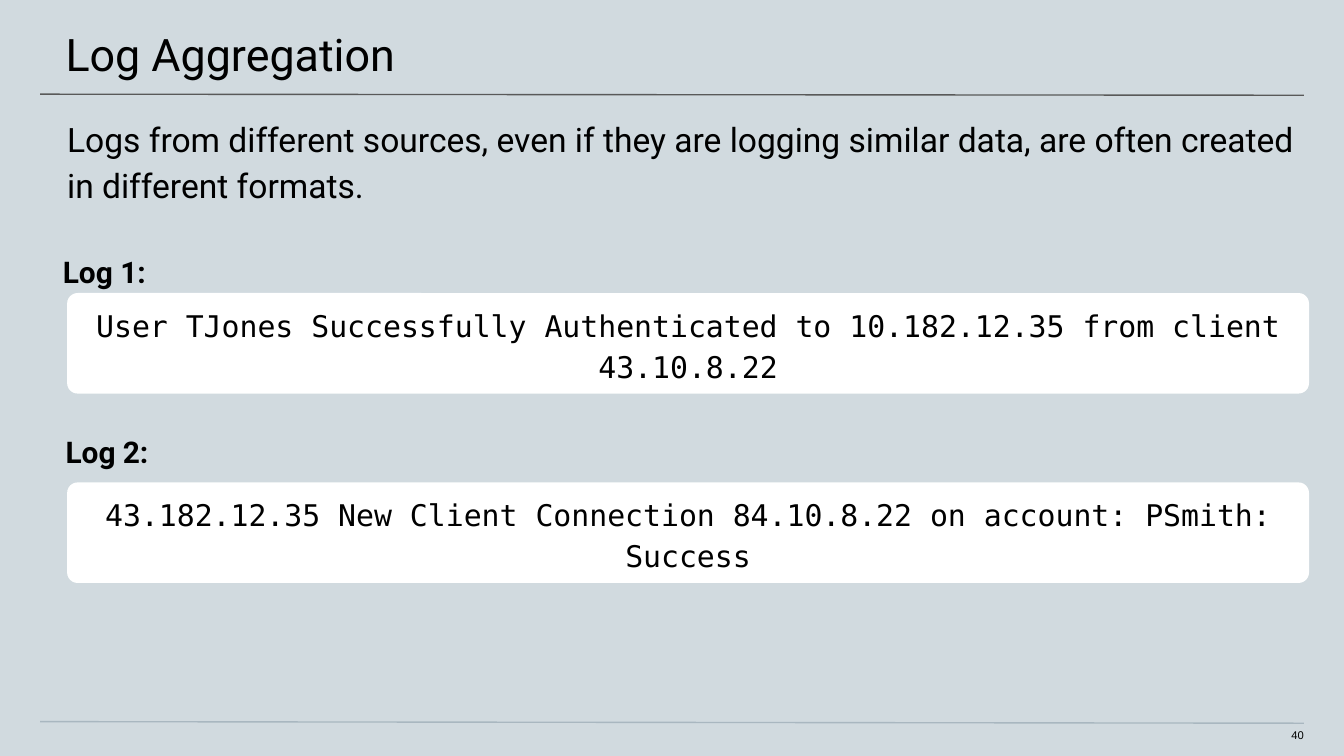
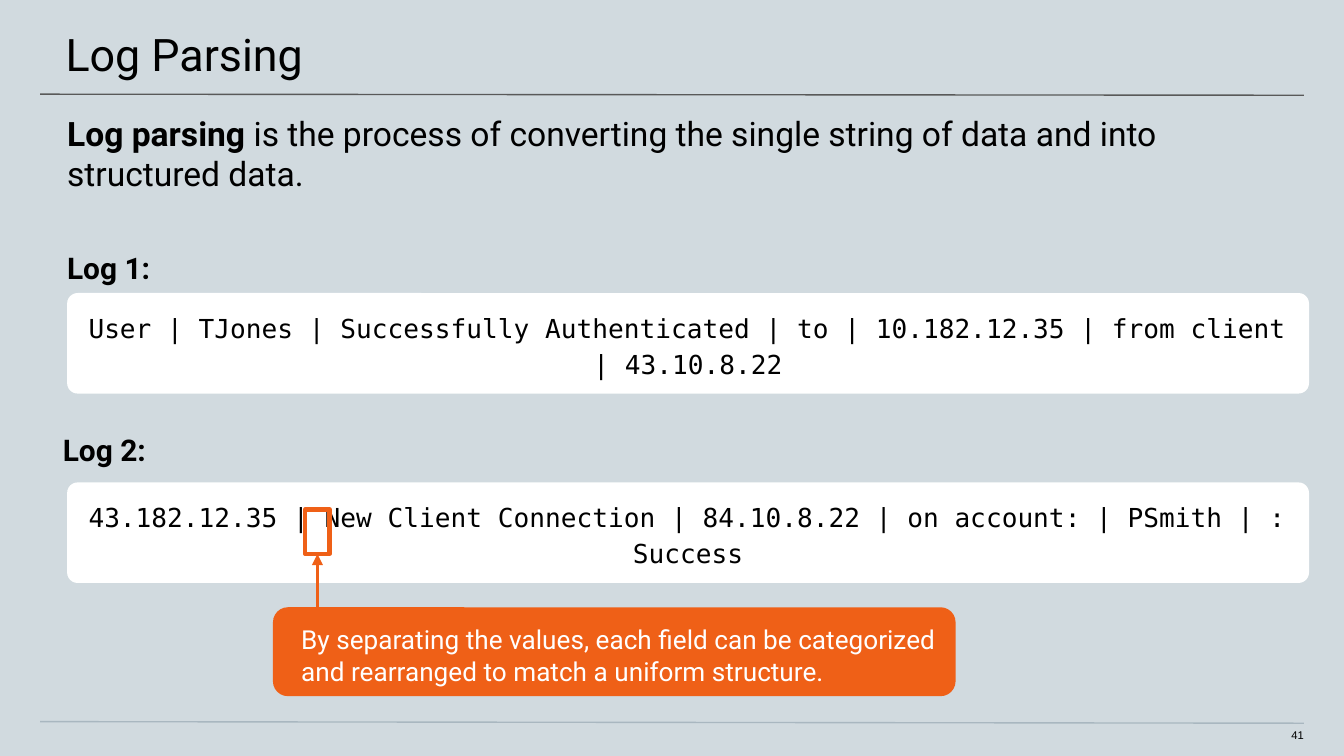
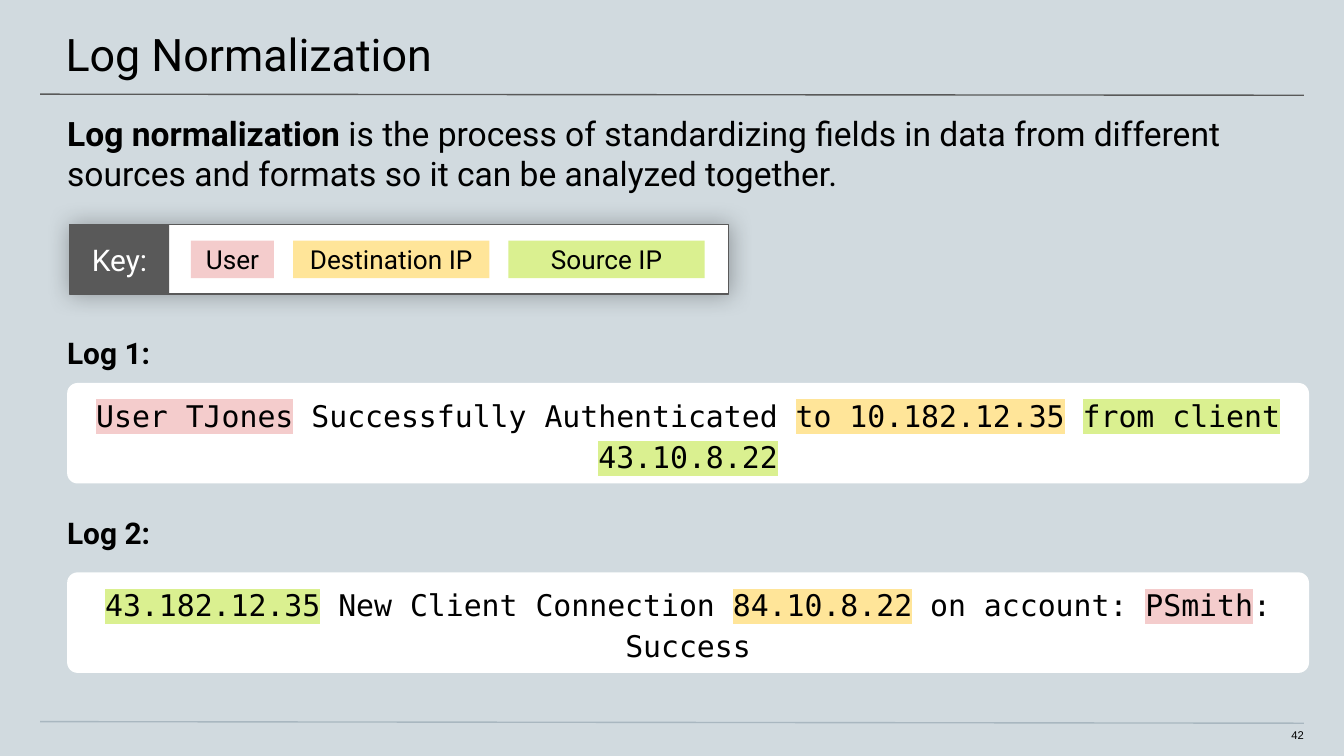
from dataclasses import dataclass, field

from lxml.etree import SubElement
from pptx import Presentation
from pptx.dml.color import RGBColor
from pptx.enum.shapes import MSO_CONNECTOR, MSO_SHAPE
from pptx.enum.text import MSO_ANCHOR, MSO_AUTO_SIZE, PP_ALIGN
from pptx.oxml.ns import qn
from pptx.shapes.autoshape import Shape
from pptx.shapes.connector import Connector
from pptx.slide import Slide
from pptx.text.text import TextFrame
from pptx.util import Cm, Pt


@dataclass(frozen=True)
class Theme:
    background: str = "D1DADF"
    ink: str = "000000"
    paper: str = "FFFFFF"
    dark: str = "595959"
    footer_rule: str = "A9B7C0"
    accent: str = "EF6017"
    user: str = "F4CCCC"
    destination: str = "FFE599"
    source: str = "DAF090"
    body_font: str = "Roboto"
    code_font: str = "DejaVu Sans Mono"
    number_font: str = "Arial"
    title_size: int = 24
    intro_size: int = 18
    text_size: int = 16
    small_size: int = 14
    number_size: int = 6


THEME = Theme()


@dataclass(frozen=True)
class Area:
    """Left, top, width and height in centimetres."""
    left: float
    top: float
    width: float
    height: float

    def lengths(self) -> tuple[Cm, Cm, Cm, Cm]:
        return Cm(self.left), Cm(self.top), Cm(self.width), Cm(self.height)


@dataclass(frozen=True)
class TextStyle:
    """Insets are left, top, right and bottom in centimetres."""
    size: int
    font: str = THEME.body_font
    color: str = THEME.ink
    bold: bool = False
    align: PP_ALIGN = PP_ALIGN.LEFT
    anchor: MSO_ANCHOR = MSO_ANCHOR.TOP
    insets: tuple[float, float, float, float] = (0, 0, 0, 0)
    line_spacing: float | None = None
    space_after: int = 0


@dataclass(frozen=True)
class Span:
    text: str
    bold: bool = False
    highlight: str | None = None


@dataclass(frozen=True)
class Log:
    label: str
    label_left: float
    label_top: float
    spans: list[Span]


@dataclass(frozen=True)
class LogPage:
    number: int
    title: str
    intro: list[Span]
    first_log_top: float
    logs: list[Log]
    log_size: int = THEME.text_size
    intro_right_inset: float = 0.51
    intro_spacing: float | None = None


@dataclass(frozen=True)
class KeyEntry:
    name: str
    width: float
    color: str


@dataclass(frozen=True)
class Rule:
    left: float
    top: float
    right: float
    bottom: float
    color: str
    weight: float = 0.75


RULES = [
    Rule(0.76, 1.78, 24.64, 1.8, THEME.dark),
    Rule(0.76, 13.64, 24.64, 13.67, THEME.footer_rule),
]
LOG_LEFT, LOG_WIDTH, LOG_HEIGHT, LOG_PITCH = 1.27, 23.47, 1.9, 3.58
TITLE_AREA = Area(-0.03, 0, 25.48, 1.47)
INTRO_AREA = Area(0, 1.88, 25.4, 1.02)
NUMBER_AREA = Area(23.9, 13.77, 0.74, 0.3)
TITLE_STYLE = TextStyle(THEME.title_size, insets=(1.27, 0.51, 0.76, 0.25))
NUMBER_STYLE = TextStyle(THEME.number_size, THEME.number_font,
                         align=PP_ALIGN.RIGHT, insets=(0, 0, 0, 0.25))
LABEL_STYLE = TextStyle(THEME.text_size, bold=True,
                        insets=(1.27, 0, 1.27, 2.54), space_after=8)

KEY_AREA = Area(1.32, 4.24, 12.45, 1.32)
KEY_LABEL_WIDTH = 1.88
KEY_GAP = 0.36
KEY_ENTRIES = [
    KeyEntry("User", 1.57, THEME.user),
    KeyEntry("Destination IP", 3.71, THEME.destination),
    KeyEntry("Source IP", 3.71, THEME.source),
]

PAGES = [
    LogPage(
        40, "Log Aggregation",
        [Span("Logs from different sources, even if they are logging similar "
              "data, are often created in different formats.")],
        5.54,
        [Log("Log 1:", -0.08, 5.72,
             [Span("User TJones Successfully Authenticated to 10.182.12.35 "
                   "from client 43.10.8.22")]),
         Log("Log 2:", -0.03, 9.12,
             [Span("43.182.12.35 New Client Connection 84.10.8.22 "
                   "on account: PSmith: Success")])],
        intro_spacing=1.15,
    ),
    LogPage(
        41, "Log Parsing",
        [Span("Log parsing", bold=True),
         Span(" is the process of converting the single string of data "
              "and into structured data.")],
        5.54,
        [Log("Log 1:", 0, 5.64,
             [Span("User | TJones | Successfully Authenticated | to | "
                   "10.182.12.35 | from client | 43.10.8.22")]),
         Log("Log 2:", -0.08, 9.07,
             [Span("43.182.12.35 | New Client Connection | 84.10.8.22 | "
                   "on account: | PSmith | : Success")])],
        log_size=THEME.small_size,
    ),
    LogPage(
        42, "Log Normalization",
        [Span("Log normalization", bold=True),
         Span(" is the process of standardizing fields in data from different "
              "sources and formats so it can be analyzed together.")],
        7.24,
        [Log("Log 1:", 0, 7.24,
             [Span("User TJones", highlight=THEME.user),
              Span(" Successfully Authenticated "),
              Span("to 10.182.12.35", highlight=THEME.destination),
              Span(" "),
              Span("from client 43.10.8.22", highlight=THEME.source)]),
         Log("Log 2:", 0, 10.64,
             [Span("43.182.12.35", highlight=THEME.source),
              Span(" New Client Connection "),
              Span("84.10.8.22", highlight=THEME.destination),
              Span(" on account: "),
              Span("PSmith", highlight=THEME.user),
              Span(": Success")])],
        intro_right_inset=1.02,
    ),
]


def rgb(color: str) -> RGBColor:
    return RGBColor.from_string(color)


def write_text(frame: TextFrame, spans: list[Span], style: TextStyle) -> None:
    frame.word_wrap = True
    frame.auto_size = MSO_AUTO_SIZE.NONE
    frame.vertical_anchor = style.anchor
    (frame.margin_left, frame.margin_top,
     frame.margin_right, frame.margin_bottom) = map(Cm, style.insets)
    para = frame.paragraphs[0]
    para.alignment = style.align
    if style.line_spacing:
        para.line_spacing = style.line_spacing
    if style.space_after:
        para.space_after = Pt(style.space_after)
    para.font.name = style.font
    para.font.size = Pt(style.size)
    para.font.color.rgb = rgb(style.color)
    para.font.bold = style.bold
    for span in spans:
        run = para.add_run()
        run.text = span.text
        if span.bold:
            run.font.bold = True
        if span.highlight:
            properties = run._r.get_or_add_rPr()
            highlight = SubElement(properties, qn("a:highlight"))
            SubElement(highlight, qn("a:srgbClr"), val=span.highlight)


def add_text(page: Slide, area: Area, spans: list[Span], style: TextStyle) -> None:
    box = page.shapes.add_textbox(*area.lengths())
    write_text(box.text_frame, spans, style)


def add_panel(page: Slide, area: Area, fill: str | None, line: str | None = None,
              weight: float = 0.75, corner: float | None = None) -> Shape:
    """Add a rectangle, rounded when a corner ratio is given."""
    kind = MSO_SHAPE.RECTANGLE if corner is None else MSO_SHAPE.ROUNDED_RECTANGLE
    panel = page.shapes.add_shape(kind, *area.lengths())
    panel.shadow.inherit = False
    if corner is not None:
        panel.adjustments[0] = corner
    if fill:
        panel.fill.solid()
        panel.fill.fore_color.rgb = rgb(fill)
    else:
        panel.fill.background()
    if line:
        panel.line.color.rgb = rgb(line)
        panel.line.width = Pt(weight)
    else:
        panel.line.fill.background()
    return panel


def add_rule(page: Slide, rule: Rule) -> Connector:
    connector = page.shapes.add_connector(
        MSO_CONNECTOR.STRAIGHT, Cm(rule.left), Cm(rule.top),
        Cm(rule.right), Cm(rule.bottom))
    connector.line.color.rgb = rgb(rule.color)
    connector.line.width = Pt(rule.weight)
    SubElement(connector.element.spPr, qn("a:effectLst"))
    return connector


def add_glow(panel: Shape) -> None:
    """Add a soft shadow spreading evenly around the panel."""
    effects = panel.element.spPr.find(qn("a:effectLst"))
    shadow = SubElement(effects, qn("a:outerShdw"), blurRad=str(Pt(12.4)),
                        dist="0", dir="0", algn="ctr", rotWithShape="0")
    color = SubElement(shadow, qn("a:srgbClr"), val=THEME.ink)
    SubElement(color, qn("a:alpha"), val="29000")


def add_log_page(deck, content: LogPage) -> Slide:
    page = deck.slides.add_slide(deck.slide_layouts[5])
    for rule in RULES:
        add_rule(page, rule)
    title = page.shapes.title
    title.left, title.top, title.width, title.height = TITLE_AREA.lengths()
    write_text(title.text_frame, [Span(content.title)], TITLE_STYLE)
    add_text(page, INTRO_AREA, content.intro, TextStyle(
        THEME.intro_size, line_spacing=content.intro_spacing,
        insets=(1.27, 0.25, content.intro_right_inset, 0.25)))
    add_text(page, NUMBER_AREA, [Span(str(content.number))], NUMBER_STYLE)

    log_style = TextStyle(
        content.log_size, THEME.code_font, align=PP_ALIGN.CENTER,
        anchor=MSO_ANCHOR.MIDDLE, insets=(0.25,) * 4, line_spacing=1.15)
    for index, log in enumerate(content.logs):
        top = content.first_log_top + index * LOG_PITCH
        panel = add_panel(page, Area(LOG_LEFT, top, LOG_WIDTH, LOG_HEIGHT),
                          THEME.paper, corner=0.104)
        write_text(panel.text_frame, log.spans, log_style)
        add_text(page, Area(log.label_left, log.label_top, 25.48, 0.71),
                 [Span(log.label)], LABEL_STYLE)
    return page


def add_separator_callout(page: Slide) -> None:
    callout_area = Area(5.16, 11.48, 12.9, 1.68)
    callout = add_panel(page, callout_area, THEME.accent, corner=0.167)
    write_text(
        callout.text_frame,
        [Span("By separating the values, each field can be categorized and "
              "rearranged to match a uniform structure.")],
        TextStyle(THEME.small_size, color=THEME.paper, insets=(0.45, 0.23, 0.25, 0)))
    marker_area = Area(5.77, 9.63, 0.46, 0.84)
    marker = add_panel(page, marker_area, None, THEME.accent, 2.25)
    center = marker_area.left + marker_area.width / 2
    arrow = add_rule(page, Rule(center, callout_area.top, center,
                                marker_area.top + marker_area.height,
                                THEME.accent, 1.5))
    arrow.end_connect(marker, 2)
    SubElement(arrow.element.spPr.find(qn("a:ln")), qn("a:tailEnd"), type="triangle")


def add_color_key(page: Slide) -> None:
    add_glow(add_panel(page, KEY_AREA, THEME.paper, THEME.dark))
    label = add_panel(page, Area(KEY_AREA.left, KEY_AREA.top, KEY_LABEL_WIDTH,
                                 KEY_AREA.height), THEME.dark)
    write_text(label.text_frame, [Span("Key:")], TextStyle(
        THEME.text_size, color=THEME.paper, align=PP_ALIGN.CENTER,
        insets=(0.25, 0.33, 0.25, 0.25), space_after=8))
    entry_style = TextStyle(THEME.small_size, align=PP_ALIGN.CENTER,
                            insets=(0.25, 0.05, 0.25, 0.25))
    left = 3.61
    for entry in KEY_ENTRIES:
        chip = add_panel(page, Area(left, 4.55, entry.width, 0.71), entry.color)
        write_text(chip.text_frame, [Span(entry.name)], entry_style)
        left += entry.width + KEY_GAP


def main() -> None:
    deck = Presentation()
    deck.slide_width, deck.slide_height = Cm(25.4), Cm(14.29)
    background = deck.slide_master.background.fill
    background.solid()
    background.fore_color.rgb = rgb(THEME.background)

    _, parsing, normalization = [add_log_page(deck, content) for content in PAGES]
    add_separator_callout(parsing)
    add_color_key(normalization)
    deck.save("out.pptx")


if __name__ == "__main__":
    main()
